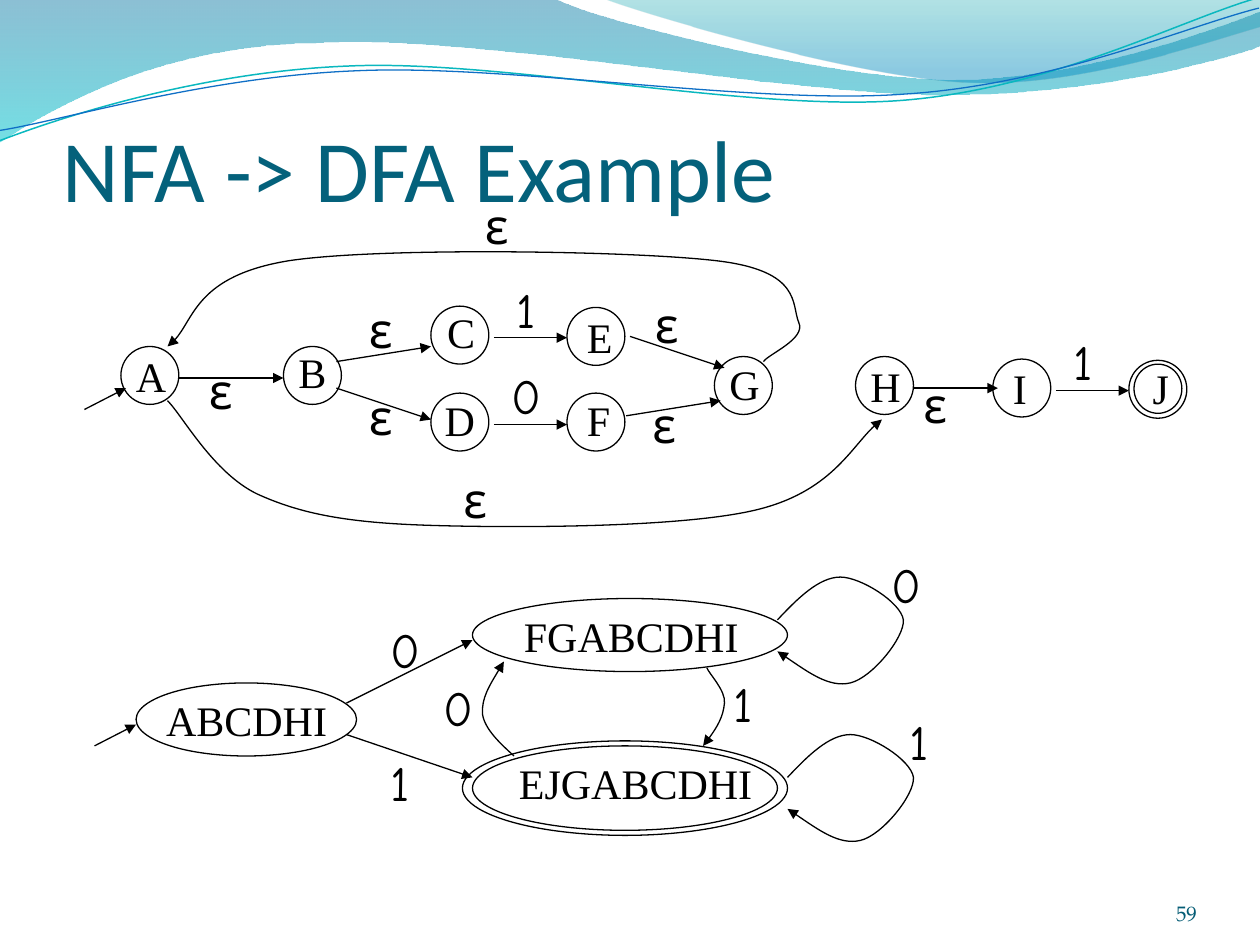
from lxml.etree import SubElement
from pptx import Presentation
from pptx.dml.color import RGBColor
from pptx.enum.shapes import MSO_CONNECTOR, MSO_SHAPE
from pptx.enum.text import MSO_ANCHOR, MSO_AUTO_SIZE, PP_ALIGN
from pptx.oxml.ns import qn
from pptx.util import Pt

PX = 9144  # 100 px to the inch
BLACK = "000000"
SERIF, HAND = "Times New Roman", "Comic Neue"
CIRCLE = 46

deck = Presentation()
deck.slide_width, deck.slide_height = 1000 * PX, 750 * PX
page = deck.slides.add_slide(deck.slide_layouts[6])
shapes = page.shapes


def add_text(text, left, top, width, height, size, font, color=BLACK):
    box = shapes.add_textbox(left * PX, top * PX, width * PX, height * PX)
    para = box.text_frame.paragraphs[0]
    para.text = text
    para.font.size = Pt(size)
    para.font.name = font
    para.font.color.rgb = RGBColor.from_string(color)
    return box.text_frame


def add_curve(start, segments, close=False):
    """Draw segments of two numbers (line) or six numbers (cubic curve)."""
    steps = [list(zip(segment[::2], segment[1::2])) for segment in segments]
    builder = shapes.build_freeform(*start, scale=PX)
    builder.add_line_segments([point for step in steps for point in step], close=close)
    curve = builder.convert_to_shape()
    outline = curve.element.find(".//" + qn("a:path"))
    lines = iter(outline.findall(qn("a:lnTo")))
    for step in steps:
        parts = [next(lines) for _ in step]
        if len(parts) == 3:
            cubic = outline.makeelement(qn("a:cubicBezTo"))
            parts[0].addprevious(cubic)
            for part in parts:
                cubic.append(part[0])
                outline.remove(part)
    curve.shadow.inherit = False
    return curve


# Waves: start, segments, gradient stops (position, color, opacity)
waves = [
    ((0, -1),
     [(440, -1), (476, 17, 664, 63, 758, 63), (853, 63, 958, 26, 1000, 9),
      (1001, 36), (983, 44, 870, 76, 746, 75), (622, 75, 382, 28, 257, 34),
      (129, 35, 46, 83, -1, 113)],
     [(0, "0074A1", 45), (1, "00C6CF", 55)]),
    ((479, -1),
     [(509, 11, 682, 62, 769, 65), (856, 69, 961, 32, 1000, 21), (1000, 0)],
     [(0, "00A1A9", 30), (0.8, "008BBF", 45)]),
]
for start, segments, stops in waves:
    wave = add_curve(start, segments, close=True)
    wave.line.fill.background()
    wave.fill.gradient()
    wave.fill.gradient_angle = 270
    for stop, (position, color, opacity) in zip(wave.fill.gradient_stops, stops):
        stop.position = position
        stop.color.rgb = RGBColor.from_string(color)
    for tone, (_, _, opacity) in zip(wave.element.iter(qn("a:srgbClr")), stops):
        SubElement(tone, qn("a:alpha"), val=str(opacity * 1000))

outlined = []  # shape, color, width, has arrowhead
ripples = [
    ((-2, 88), [(47, 72, 158, 41, 277, 42), (396, 42, 592, 93, 712, 90),
                (832, 87, 940, 36, 1000, 22)], "0AB8BF", 0.85),
    ((-2, 80), [(46, 75, 164, 45, 283, 46), (403, 46, 596, 88, 716, 85),
                (836, 83, 942, 42, 1001, 30)], "0F6FC6", 0.75),
]
for start, segments, color, width in ripples:
    ripple = add_curve(start, segments)
    ripple.rotation = 357.3
    ripple.fill.background()
    outlined.append((ripple, color, width, False))

title = add_text("NFA -> DFA Example", 50, 50, 900, 125, 50, "Calibri", "04617B")
title.margin_top = 5 * PX
number = add_text("59", 867, 695, 83, 40, 12, "TeX Gyre Pagella", "045C75")
number.margin_top = 0
number.paragraphs[0].alignment = PP_ALIGN.RIGHT
for frame in (title, number):
    frame.word_wrap = True
    frame.vertical_anchor = MSO_ANCHOR.BOTTOM
    frame.margin_left = frame.margin_right = frame.margin_bottom = 0

# States: ellipse left, top, width, height
states = [(left, top, CIRCLE, CIRCLE) for left, top in [
    (96, 275), (225, 275), (342, 243), (342, 312), (450, 244),
    (450, 312), (567, 283), (679, 283), (788, 285), (896, 286)]]
states += [(900, 289, 38, 39), (108, 542, 175, 58), (375, 475, 250, 58),
           (375, 592, 242, 67), (367, 588, 258, 75)]
for state in states:
    ellipse = shapes.add_shape(MSO_SHAPE.OVAL, *(length * PX for length in state))
    ellipse.shadow.inherit = False
    ellipse.fill.background()
    outlined.append((ellipse, BLACK, 0.75, False))

# Straight transitions: from x, y to x, y
arrows = [
    (67, 325, 100, 308), (142, 300, 225, 300), (267, 287, 342, 275),
    (267, 308, 342, 333), (392, 268, 450, 268), (392, 337, 450, 337),
    (500, 267, 575, 292), (497, 330, 572, 318), (725, 308, 792, 308),
    (838, 310, 896, 310), (75, 592, 108, 575), (275, 558, 375, 508),
    (275, 583, 375, 617),
]
for arrow in arrows:
    connector = shapes.add_connector(MSO_CONNECTOR.STRAIGHT, *(end * PX for end in arrow))
    outlined.append((connector, BLACK, 0.75, True))

# Curved transitions
bends = [
    ((133, 318), [(145, 330, 169, 375, 204, 392), (239, 408, 276, 415, 342, 417),
                  (407, 419, 539, 419, 599, 405), (659, 391, 679, 348, 700, 333)]),
    ((606, 287), [(610, 281, 640, 269, 634, 256), (628, 242, 637, 215, 569, 207),
                  (502, 199, 301, 196, 229, 207), (156, 219, 153, 261, 133, 275)]),
    ((408, 600), [(397, 590, 385, 579, 383, 567), (382, 554, 391, 540, 400, 525)]),
    ((561, 530), [(563, 535, 576, 548, 575, 558), (574, 569, 567, 581, 558, 592)]),
]
self_loop = [(0, 0), (16, -17, 33, -34, 50, -34), (66, -34, 98, -14, 100, 0),
             (101, 14, 75, 46, 58, 50), (41, 54, 21, 39, 0, 25)]
for origin in [(617, 492), (625, 617)]:
    start, *segments = [tuple(value + origin[index % 2] for index, value in enumerate(segment))
                        for segment in self_loop]
    bends.append((start, segments))
for start, segments in bends:
    bend = add_curve(start, segments)
    bend.fill.background()
    outlined.append((bend, BLACK, 0.75, True))

for shape, color, width, has_arrowhead in outlined:
    shape.line.color.rgb = RGBColor.from_string(color)
    shape.line.width = Pt(width)
    properties = shape.element.spPr
    if has_arrowhead:
        SubElement(properties.find(qn("a:ln")), qn("a:tailEnd"), type="triangle")
    if properties.find(qn("a:effectLst")) is None:
        SubElement(properties, qn("a:effectLst"))

# Labels: text, left, top, width
state_labels = [
    ("A", 98, 273, 44), ("B", 227, 270, 42), ("C", 345, 238, 42), ("D", 343, 308, 44),
    ("E", 456, 242, 40), ("F", 456, 308, 39), ("G", 569, 280, 44), ("H", 681, 281, 44),
    ("I", 794, 283, 31), ("J", 905, 283, 33), ("ABCDHI", 122, 546, 150),
    ("FGABCDHI", 406, 480, 193), ("EJGABCDHI", 402, 596, 208),
]
symbol_places = {
    "ε": (37, [(156, 281), (723, 292), (283, 233), (508, 308), (510, 229),
               (283, 302), (358, 368), (375, 150)]),
    "0": (44, [(396, 285), (300, 487), (698, 435), (342, 533)]),
    "1": (38, [(400, 217), (842, 258), (300, 592), (712, 560), (572, 530)]),
}
labels = [(*label, 50, 24, SERIF) for label in state_labels]
for symbol, (width, places) in symbol_places.items():
    labels += [(symbol, left, top, width, 57, 28, HAND) for left, top in places]
for label in labels:
    frame = add_text(*label)
    frame.word_wrap = False
    frame.auto_size = MSO_AUTO_SIZE.SHAPE_TO_FIT_TEXT

deck.save("out.pptx")
